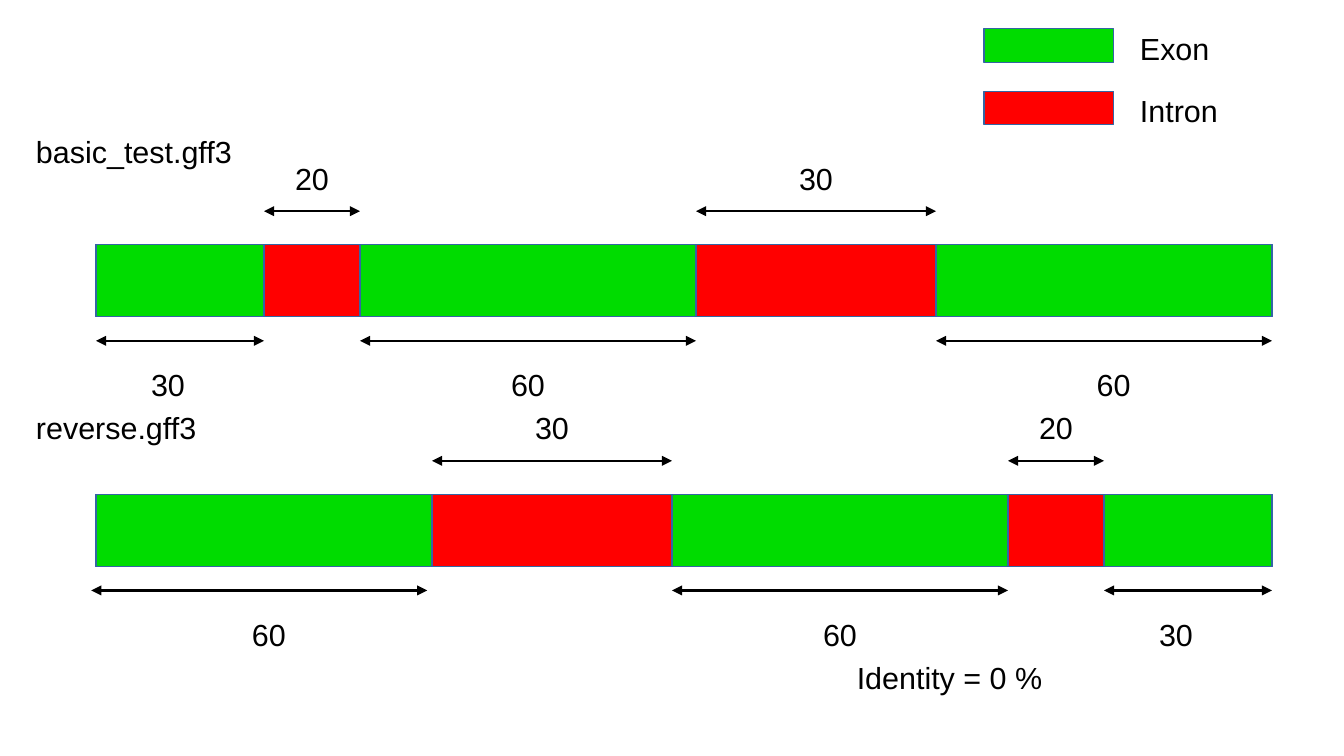
import pptx
import pptx.util
import pptx.dml.color
import pptx.enum.shapes
import pptx.enum.text
import pptx.oxml.ns
from lxml import etree

Cm = pptx.util.Cm
Pt = pptx.util.Pt
ALIGN = pptx.enum.text.PP_ALIGN

COLOURS = {"exon": "00DC00", "intron": "FF0000", "outline": "3465A4", "ink": "000000"}
GENE_LEFT = 2
GENE_HEIGHT = 1.5
LABEL_WIDTH = 3

# Each segment: kind, width in cm, length shown, label shift, arrow shift
BASIC_SEGMENTS = [
    ("exon", 3.5, "30", -0.25, 0),
    ("intron", 2, "20", 0, 0),
    ("exon", 7, "60", 0, 0),
    ("intron", 5, "30", 0, 0),
    ("exon", 7, "60", 0.2, 0),
]
REVERSE_SEGMENTS = [
    ("exon", 7, "60", 0.1, -0.1),
    ("intron", 5, "30", 0, 0),
    ("exon", 7, "60", 0, 0),
    ("intron", 2, "20", 0, 0),
    ("exon", 3.5, "30", -0.25, 0),
]


def colour(name):
    return pptx.dml.color.RGBColor.from_string(COLOURS[name])


def add_bar(page, kind, left, top, width, height):
    bar = page.shapes.add_shape(
        pptx.enum.shapes.MSO_SHAPE.RECTANGLE, Cm(left), Cm(top), Cm(width), Cm(height))
    bar.shadow.inherit = False
    bar.fill.solid()
    bar.fill.fore_color.rgb = colour(kind)
    bar.line.color.rgb = colour("outline")
    bar.line.width = Pt(0)


def add_label(page, text, left, top, width, align=ALIGN.LEFT):
    box = page.shapes.add_textbox(Cm(left), Cm(top), Cm(width), Cm(0.97))
    box.text_frame.word_wrap = True
    para = box.text_frame.paragraphs[0]
    para.alignment = align
    span = para.add_run()
    span.text = text
    span.font.name = "Arial"
    span.font.size = Pt(18)
    span.font.color.rgb = colour("ink")


def add_span_arrow(page, left, right, height):
    arrow = page.shapes.add_connector(
        pptx.enum.shapes.MSO_CONNECTOR.STRAIGHT, Cm(left), Cm(height), Cm(right), Cm(height))
    arrow.line.color.rgb = colour("ink")
    arrow.line.width = Pt(1.42)
    # Arrowheads at both ends, no shadow
    line = arrow.line._get_or_add_ln()
    for end in ("a:headEnd", "a:tailEnd"):
        etree.SubElement(line, pptx.oxml.ns.qn(end), type="triangle")
    etree.SubElement(arrow._element.spPr, pptx.oxml.ns.qn("a:effectLst"))


def add_gene(page, title, title_top, top, segments):
    add_label(page, title, 0.5, title_top, 7.5)
    # The intron bar runs the full length, with exons on top
    gene_width = sum(segment[1] for segment in segments)
    add_bar(page, "intron", GENE_LEFT, top, gene_width, GENE_HEIGHT)
    left = GENE_LEFT
    for kind, width, length, label_shift, arrow_shift in segments:
        if kind == "exon":
            add_bar(page, kind, left, top, width, GENE_HEIGHT)
            arrow_top, label_top = top + 2, top + 2.4
        else:
            arrow_top, label_top = top - 0.7, top - 1.9
        add_span_arrow(page, left + arrow_shift, left + width + arrow_shift, arrow_top)
        label_left = left + (width - LABEL_WIDTH) / 2 + label_shift
        add_label(page, length, label_left, label_top, LABEL_WIDTH, ALIGN.CENTER)
        left += width


def add_legend(page):
    for row, (kind, name) in enumerate([("exon", "Exon"), ("intron", "Intron")]):
        top = 0.6 + 1.3 * row
        add_bar(page, kind, 20.5, top, 2.7, 0.7)
        add_label(page, name, 23.5, top - 0.1, 2.5)


def main():
    deck = pptx.Presentation()
    deck.slide_width, deck.slide_height = Cm(28), Cm(15.75)
    page = deck.slides.add_slide(deck.slide_layouts[6])

    add_legend(page)
    add_gene(page, "basic_test.gff3", 2.65, 5.1, BASIC_SEGMENTS)
    add_gene(page, "reverse.gff3", 8.4, 10.3, REVERSE_SEGMENTS)
    add_label(page, "Identity = 0 %", 17.6, 13.6, 6)

    deck.save("out.pptx")


if __name__ == "__main__":
    main()
